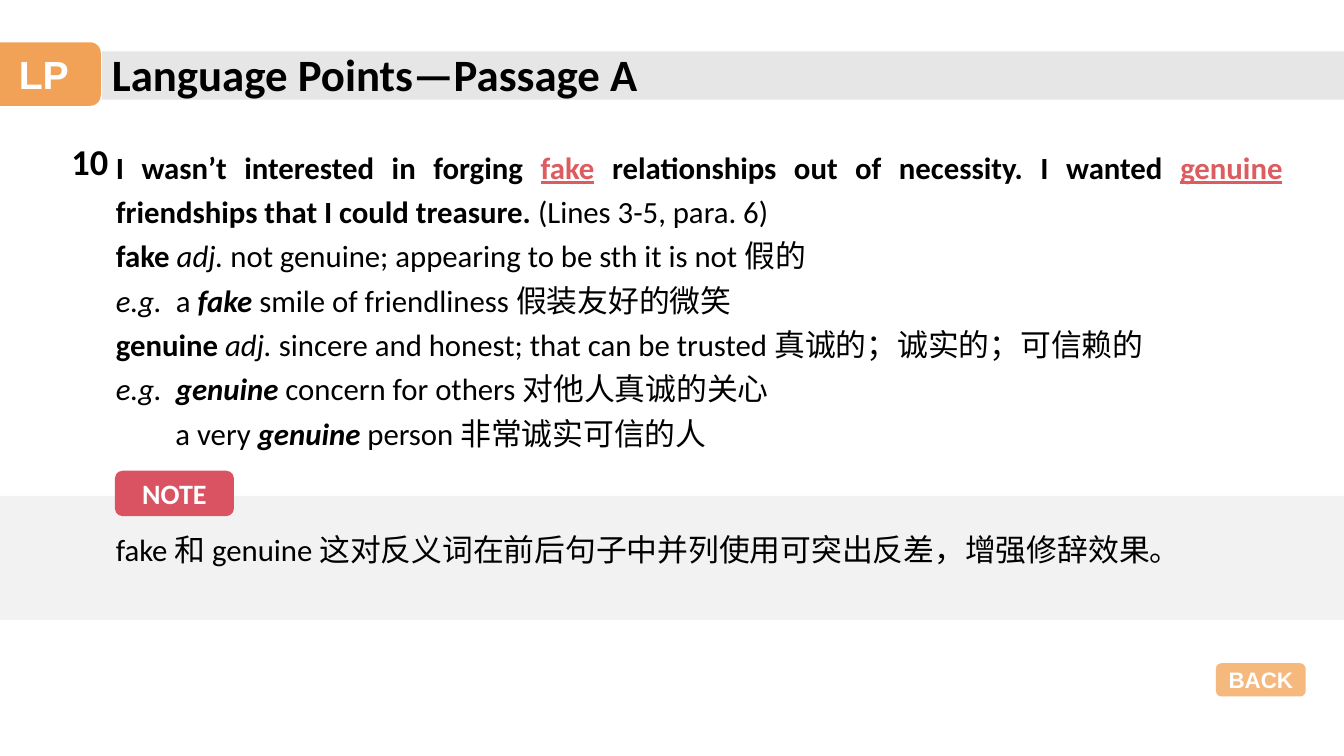
from dataclasses import dataclass

from lxml import etree
from pptx import Presentation
from pptx.dml.color import RGBColor
from pptx.enum.shapes import MSO_SHAPE
from pptx.enum.text import MSO_ANCHOR, MSO_AUTO_SIZE, PP_ALIGN
from pptx.oxml.ns import qn
from pptx.util import Inches, Pt

RECTANGLE = MSO_SHAPE.RECTANGLE
ROUNDED = MSO_SHAPE.ROUNDED_RECTANGLE
TOP, MIDDLE = MSO_ANCHOR.TOP, MSO_ANCHOR.MIDDLE
LEFT, CENTER, JUSTIFY = PP_ALIGN.LEFT, PP_ALIGN.CENTER, PP_ALIGN.JUSTIFY
NO_FIT = MSO_AUTO_SIZE.NONE


@dataclass(frozen=True)
class Theme:
    black: str = "000000"
    white: str = "FFFFFF"
    orange: str = "F19B48"
    red: str = "DA5362"
    keyword: str = "DD5C60"
    title_bar: str = "E7E6E6"
    note_band: str = "F2F2F2"
    text_font: str = "Calibri"
    label_font: str = "Arial"
    title_size: int = 32
    tab_size: int = 28
    number_size: int = 26
    body_size: int = 22
    note_size: int = 20
    button_size: int = 16


THEME = Theme()


def add_text(para, text, size=THEME.body_size, color=THEME.black,
             font=THEME.text_font, bold=False, italic=False, underline=False):
    span = para.add_run()
    span.text = text
    span.font.name = font
    span.font.size = Pt(size)
    span.font.bold = bold
    span.font.italic = italic
    span.font.underline = underline
    span.font.color.rgb = RGBColor.from_string(color)


def add_panel(page, kind, left, top, width, height, color, opacity=100):
    panel = page.shapes.add_shape(kind, Inches(left), Inches(top),
                                  Inches(width), Inches(height))
    panel.shadow.inherit = False
    panel.line.fill.background()
    panel.fill.solid()
    panel.fill.fore_color.rgb = RGBColor.from_string(color)
    if opacity < 100:
        tint = panel.element.spPr.find(".//" + qn("a:srgbClr"))
        etree.SubElement(tint, qn("a:alpha"), val=str(opacity * 1000))
    return panel


deck = Presentation()
deck.slide_width, deck.slide_height = Inches(13.33), Inches(7.5)
page = deck.slides.add_slide(deck.slide_layouts[1])
title, body = page.placeholders

# Background bands
add_panel(page, RECTANGLE, 0, 4.92, 13.33, 1.23, THEME.note_band)
add_panel(page, RECTANGLE, 1.01, 0.51, 12.32, 0.48, THEME.title_bar)

# Labels: section tab, note heading, back button
labels = [
    ("LP", (-0.13, 0.42, 1.13, 0.63), THEME.orange, 92, THEME.label_font, THEME.tab_size),
    ("NOTE", (1.14, 4.67, 1.18, 0.45), THEME.red, 100, THEME.text_font, THEME.note_size),
    ("BACK", (12.06, 6.58, 0.89, 0.33), THEME.orange, 71, THEME.label_font, THEME.button_size),
]
for text, place, color, opacity, font, size in labels:
    frame = add_panel(page, ROUNDED, *place, color, opacity).text_frame
    frame.vertical_anchor = MIDDLE
    frame.word_wrap = False
    frame.paragraphs[0].alignment = CENTER
    add_text(frame.paragraphs[0], text, size=size, font=font, color=THEME.white, bold=True)

# Title, brought in front of its bar
page.shapes.element.append(title.element)
title.left, title.top = Inches(1.01), Inches(0.41)
title.width, title.height = Inches(5.69), Inches(0.64)
title.text_frame.vertical_anchor = TOP
title.text_frame.auto_size = NO_FIT
heading = title.text_frame.paragraphs[0]
heading.alignment = LEFT
add_text(heading, "Language Points—Passage A", size=THEME.title_size, bold=True)

# Item number
number = page.shapes.add_textbox(Inches(0.61), Inches(1.33), Inches(0.63), Inches(0.54))
add_text(number.text_frame.paragraphs[0], "10", size=THEME.number_size, bold=True)

# Sentence and word explanations
BOLD = {"bold": True}
ITALIC = {"italic": True}
BOLD_ITALIC = {"bold": True, "italic": True}
KEYWORD = {"bold": True, "underline": True, "color": THEME.keyword}
explanations = [
    [("I wasn’t interested in forging ", BOLD), ("fake", KEYWORD),
     (" relationships out of necessity. I wanted ", BOLD), ("genuine", KEYWORD),
     (" friendships that I could treasure. ", BOLD), ("(Lines 3-5, para. 6)", {})],
    [("fake ", BOLD), ("adj.", ITALIC),
     (" not genuine; appearing to be sth it is not 假的", {})],
    [("e.g.  ", ITALIC), ("a ", {}), ("fake", BOLD_ITALIC),
     (" smile of friendliness 假装友好的微笑", {})],
    [("genuine ", BOLD), ("adj.", ITALIC),
     (" sincere and honest; that can be trusted 真诚的；诚实的；可信赖的", {})],
    [("e.g.  ", ITALIC), ("genuine", BOLD_ITALIC),
     (" concern for others 对他人真诚的关心", {})],
    [("a very ", {}), ("genuine", BOLD_ITALIC), (" person 非常诚实可信的人", {})],
]
body.left, body.top = Inches(1.05), Inches(1.35)
body.width, body.height = Inches(11.77), Inches(3.18)
body.text_frame.auto_size = NO_FIT
for index, spans in enumerate(explanations):
    para = body.text_frame.add_paragraph() if index else body.text_frame.paragraphs[0]
    is_last = index == len(explanations) - 1
    properties = para._p.get_or_add_pPr()
    properties.set("marL", "0")
    properties.set("indent", str(Inches(0.59) if is_last else 0))
    etree.SubElement(properties, qn("a:buNone"))
    para.alignment = JUSTIFY
    para.line_spacing = 1.2
    para.space_before = Pt(0)
    for text, style in spans:
        add_text(para, text, **style)

# Note text
note = page.shapes.add_textbox(Inches(1.05), Inches(5.14), Inches(11.84), Inches(0.51))
note.text_frame.word_wrap = True
remark = note.text_frame.paragraphs[0]
remark.alignment = JUSTIFY
remark.line_spacing = 1.2
add_text(remark, "fake 和 genuine 这对反义词在前后句子中并列使用可突出反差，增强修辞效果。")

deck.save("out.pptx")
